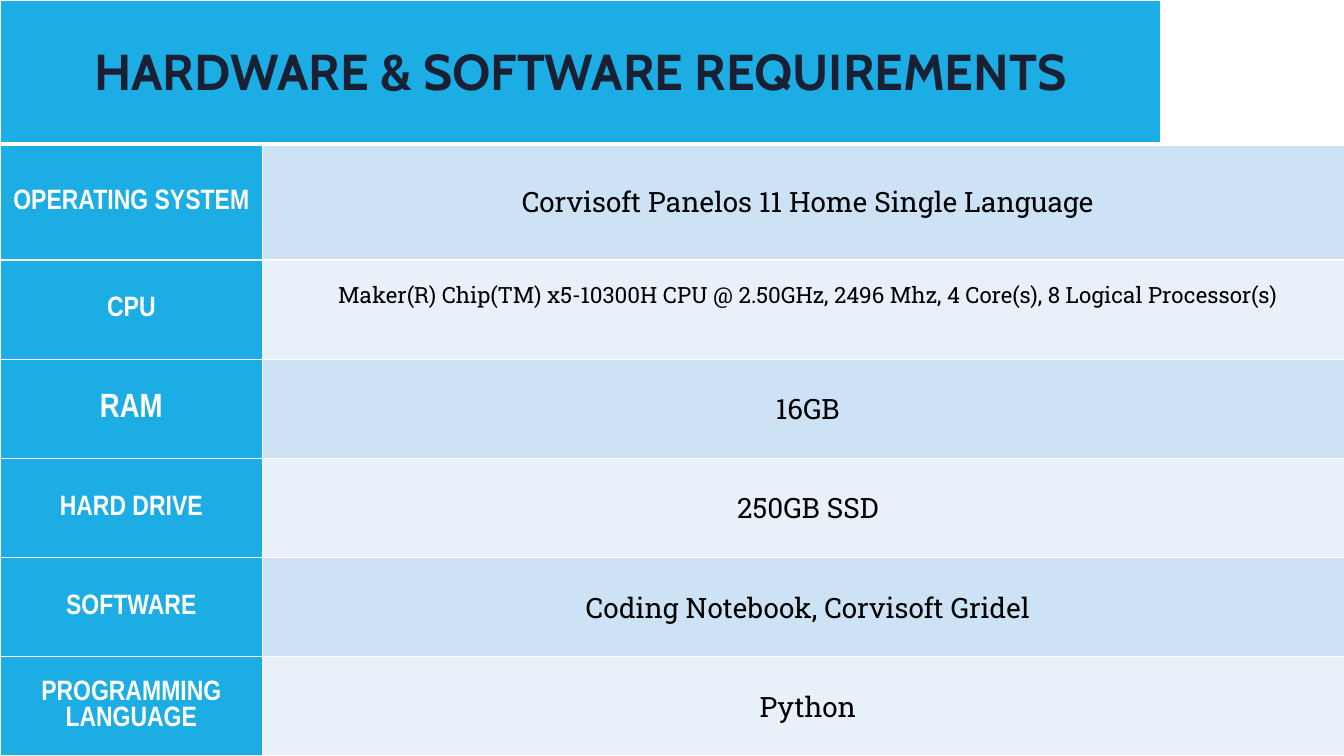
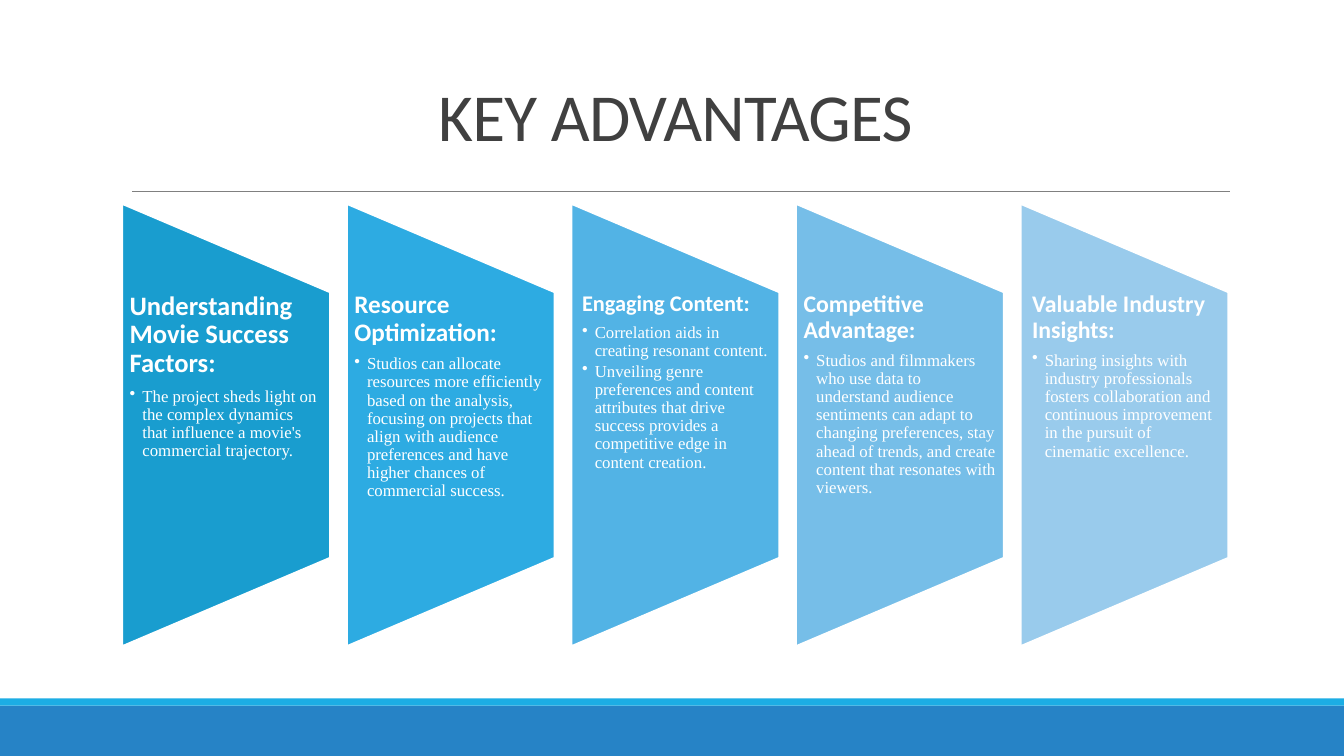
from dataclasses import dataclass

import lxml.etree
import pptx
import pptx.dml.color
import pptx.enum.shapes
import pptx.enum.text
import pptx.oxml.ns
import pptx.presentation
import pptx.shapes.autoshape
import pptx.slide
import pptx.table
import pptx.text.text
import pptx.util

Cm = pptx.util.Cm
Pt = pptx.util.Pt
qn = pptx.oxml.ns.qn
Align = pptx.enum.text.PP_ALIGN
Anchor = pptx.enum.text.MSO_ANCHOR
Shape = pptx.enum.shapes.MSO_SHAPE

COLORS = {
    "white": "FFFFFF", "black": "000000", "navy": "1A2034", "ink": "404040",
    "rule": "808080", "band": "2683C6", "accent": "1CADE4",
    "row_dark": "CDE3F5", "row_light": "E8F1FA",
    "panel_1": "199DCF", "panel_2": "2DABE2", "panel_3": "52B3E5",
    "panel_4": "76BEE8", "panel_5": "99CBEC",
}
SLIDE_W, SLIDE_H = 33.87, 19.05
COLUMN_WIDTHS = (6.62, 22.63, 4.85)
HEADER_H, FIRST_ROW_H, ROW_H = 3.63, 2.92, 2.5
PANEL_LENGTH, PANEL_WIDTH, PANEL_STEP = 11.18, 5.26, 5.66
FIRST_PANEL_X, PANEL_Y = 5.7, 10.71
PANEL_TEXT_H = 6.7
BULLET_INDENT = 0.32


@dataclass(frozen=True)
class TextStyle:
    """Font settings of a run."""
    font: str
    size: float
    color: str
    bold: bool = False
    spacing: int = 0


@dataclass(frozen=True)
class Requirement:
    """One row of the requirements table."""
    label: str
    value: str
    label_size: int = 20
    value_size: int = 20
    bottom_margin: float = 0


@dataclass(frozen=True)
class Advantage:
    """One panel with a heading and bullets."""
    heading: str
    bullets: tuple[str, ...]
    color: str
    heading_size: int
    margin: float = 0.2


TABLE_TITLE = TextStyle("Cabin", 36, "navy", True)
SLIDE_TITLE = TextStyle("Calibri", 48, "ink", spacing=-50)
BULLET = TextStyle("Times New Roman", 12, "white")

REQUIREMENTS = (
    Requirement("OPERATING SYSTEM", "Corvisoft Panelos 11 Home Single Language"),
    Requirement("CPU", "Maker(R) Chip(TM) x5-10300H CPU @ 2.50GHz, 2496 Mhz, "
                "4 Core(s), 8 Logical Processor(s)",
                value_size=16, bottom_margin=0.74),
    Requirement("RAM", "16GB", label_size=24),
    Requirement("HARD DRIVE", "250GB SSD"),
    Requirement("SOFTWARE", "Coding Notebook, Corvisoft Gridel"),
    Requirement("PROGRAMMING LANGUAGE", "Python"),
)

ADVANTAGES = (
    Advantage("Understanding Movie Success Factors:",
              ("The project sheds light on the complex dynamics that influence "
               "a movie's commercial trajectory.",), "panel_1", 19),
    Advantage("Resource Optimization:",
              ("Studios can allocate resources more efficiently based on the "
               "analysis, focusing on projects that align with audience "
               "preferences and have higher chances of commercial success.",),
              "panel_2", 18),
    Advantage("Engaging Content:",
              ("Correlation aids in creating resonant content.",
               "Unveiling genre preferences and content attributes that drive "
               "success provides a competitive edge in content creation."),
              "panel_3", 16, 0.28),
    Advantage("Competitive Advantage:",
              ("Studios and filmmakers who use data to understand audience "
               "sentiments can adapt to changing preferences, stay ahead of "
               "trends, and create content that resonates with viewers.",),
              "panel_4", 17),
    Advantage("Valuable Industry Insights:",
              ("Sharing insights with industry professionals fosters "
               "collaboration and continuous improvement in the pursuit of "
               "cinematic excellence.",), "panel_5", 17, 0.3),
)


def rgb(color: str) -> pptx.dml.color.RGBColor:
    """Look up a named colour."""
    return pptx.dml.color.RGBColor.from_string(COLORS[color])


def add_run(paragraph: pptx.text.text._Paragraph, text: str,
            style: TextStyle) -> None:
    """Append a styled run to a paragraph."""
    run = paragraph.add_run()
    run.text = text
    run.font.name = style.font
    run.font.size = Pt(style.size)
    run.font.bold = style.bold
    run.font.color.rgb = rgb(style.color)
    if style.spacing:
        run._r.get_or_add_rPr().set("spc", str(style.spacing))


def add_block(slide: pptx.slide.Slide, kind: Shape, left: float, top: float,
              width: float, height: float,
              color: str) -> pptx.shapes.autoshape.Shape:
    """Add a flat filled shape without an outline."""
    block = slide.shapes.add_shape(kind, Cm(left), Cm(top), Cm(width), Cm(height))
    block.shadow.inherit = False
    block.fill.solid()
    block.fill.fore_color.rgb = rgb(color)
    block.line.fill.background()
    return block


def add_text_area(slide: pptx.slide.Slide, left: float, top: float, width: float,
                  height: float) -> pptx.text.text.TextFrame:
    """Add a wrapping text box and return its frame."""
    area = slide.shapes.add_textbox(Cm(left), Cm(top), Cm(width), Cm(height))
    area.text_frame.word_wrap = True
    return area.text_frame


def add_base_slide(deck: pptx.presentation.Presentation) -> pptx.slide.Slide:
    """Add a slide with the shared footer bands and title rule."""
    slide = deck.slides.add_slide(deck.slide_layouts[6])
    add_block(slide, Shape.RECTANGLE, 0, 17.78, SLIDE_W, 1.27, "band")
    add_block(slide, Shape.RECTANGLE, 0, 17.6, SLIDE_W, 0.18, "accent")
    rule = slide.shapes.add_connector(
        pptx.enum.shapes.MSO_CONNECTOR.STRAIGHT,
        Cm(3.33), Cm(4.83), Cm(31), Cm(4.83))
    rule.line.color.rgb = rgb("rule")
    rule.line.width = Pt(0.5)
    lxml.etree.SubElement(rule._element.spPr, qn("a:effectLst"))
    return slide


def set_borders(cell: pptx.table._Cell, bottom: float = 1) -> None:
    """Give a cell white borders, one point wide except at the bottom."""
    properties = cell._tc.get_or_add_tcPr()
    for side, width in (("L", 1), ("R", 1), ("T", 1), ("B", bottom)):
        border = lxml.etree.SubElement(properties, qn(f"a:ln{side}"),
                                       w=str(Pt(width)))
        fill = lxml.etree.SubElement(border, qn("a:solidFill"))
        lxml.etree.SubElement(fill, qn("a:srgbClr"), val=COLORS["white"])


def fill_cell(cell: pptx.table._Cell, text: str, style: TextStyle, color: str,
              bottom_margin: float = 0) -> None:
    """Fill a cell and centre its text."""
    cell.fill.solid()
    cell.fill.fore_color.rgb = rgb(color)
    cell.vertical_anchor = Anchor.MIDDLE
    cell.margin_left = cell.margin_right = Cm(0.1)
    cell.margin_top, cell.margin_bottom = 0, Cm(bottom_margin)
    paragraph = cell.text_frame.paragraphs[0]
    paragraph.alignment = Align.CENTER
    add_run(paragraph, text, style)


def build_requirements(deck: pptx.presentation.Presentation) -> None:
    """Build the hardware and software table."""
    slide = add_base_slide(deck)
    heights = (HEADER_H, FIRST_ROW_H) + (ROW_H,) * (len(REQUIREMENTS) - 1)
    table = slide.shapes.add_table(
        len(heights), len(COLUMN_WIDTHS), 0, 0,
        Cm(sum(COLUMN_WIDTHS)), Cm(sum(heights))).table
    table.first_row = table.horz_banding = False
    for column, width in zip(table.columns, COLUMN_WIDTHS):
        column.width = Cm(width)
    for index, (row, height) in enumerate(zip(table.rows, heights)):
        row.height = Cm(height)
        for cell in row.cells:
            set_borders(cell, bottom=1 if index else 3)
            cell.fill.background()

    table.cell(0, 0).merge(table.cell(0, 1))
    fill_cell(table.cell(0, 0), "HARDWARE & SOFTWARE REQUIREMENTS",
              TABLE_TITLE, "accent")
    for index, item in enumerate(REQUIREMENTS, start=1):
        table.cell(index, 1).merge(table.cell(index, 2))
        fill_cell(table.cell(index, 0), item.label,
                  TextStyle("Arial Narrow", item.label_size, "white", True),
                  "accent")
        fill_cell(table.cell(index, 1), item.value,
                  TextStyle("Roboto Slab", item.value_size, "black"),
                  "row_dark" if index % 2 else "row_light", item.bottom_margin)


def add_bullet(frame: pptx.text.text.TextFrame, text: str) -> None:
    """Append a bulleted paragraph with a hanging indent."""
    paragraph = frame.add_paragraph()
    paragraph.line_spacing = 0.9
    paragraph.space_after = Pt(1.8)
    properties = paragraph._p.get_or_add_pPr()
    properties.set("marL", str(Cm(BULLET_INDENT)))
    properties.set("indent", str(-Cm(BULLET_INDENT)))
    lxml.etree.SubElement(properties, qn("a:buChar"), char="•")
    add_run(paragraph, text, BULLET)


def add_panel(slide: pptx.slide.Slide, advantage: Advantage,
              center_x: float) -> None:
    """Draw one advantage as a sideways trapezoid with text."""
    panel = add_block(slide, Shape.FLOWCHART_MANUAL_OPERATION,
                      center_x - PANEL_LENGTH / 2, PANEL_Y - PANEL_WIDTH / 2,
                      PANEL_LENGTH, PANEL_WIDTH, advantage.color)
    panel.rotation = 270
    panel.line.color.rgb = rgb("white")
    panel.line.width = Pt(2)

    frame = add_text_area(slide, center_x - PANEL_WIDTH / 2,
                          PANEL_Y - PANEL_TEXT_H / 2, PANEL_WIDTH, PANEL_TEXT_H)
    frame.margin_left = frame.margin_right = Cm(advantage.margin)
    frame.margin_top = frame.margin_bottom = 0
    heading = frame.paragraphs[0]
    heading.line_spacing = 0.9
    heading.space_after = Pt(0.35 * advantage.heading_size)
    add_run(heading, advantage.heading,
            TextStyle("Calibri", advantage.heading_size, "white", True))
    for bullet in advantage.bullets:
        add_bullet(frame, bullet)


def build_advantages(deck: pptx.presentation.Presentation) -> None:
    """Build the slide of key advantages."""
    slide = add_base_slide(deck)
    frame = add_text_area(slide, 3.05, 0, 27.94, 4.04)
    frame.vertical_anchor = Anchor.BOTTOM
    title = frame.paragraphs[0]
    title.alignment = Align.CENTER
    title.line_spacing = 0.85
    add_run(title, "KEY ADVANTAGES", SLIDE_TITLE)
    for index, advantage in enumerate(ADVANTAGES):
        add_panel(slide, advantage, FIRST_PANEL_X + index * PANEL_STEP)


def main() -> None:
    """Build and save the presentation."""
    deck = pptx.Presentation()
    deck.slide_width, deck.slide_height = Cm(SLIDE_W), Cm(SLIDE_H)
    build_requirements(deck)
    build_advantages(deck)
    deck.save("out.pptx")


main()
